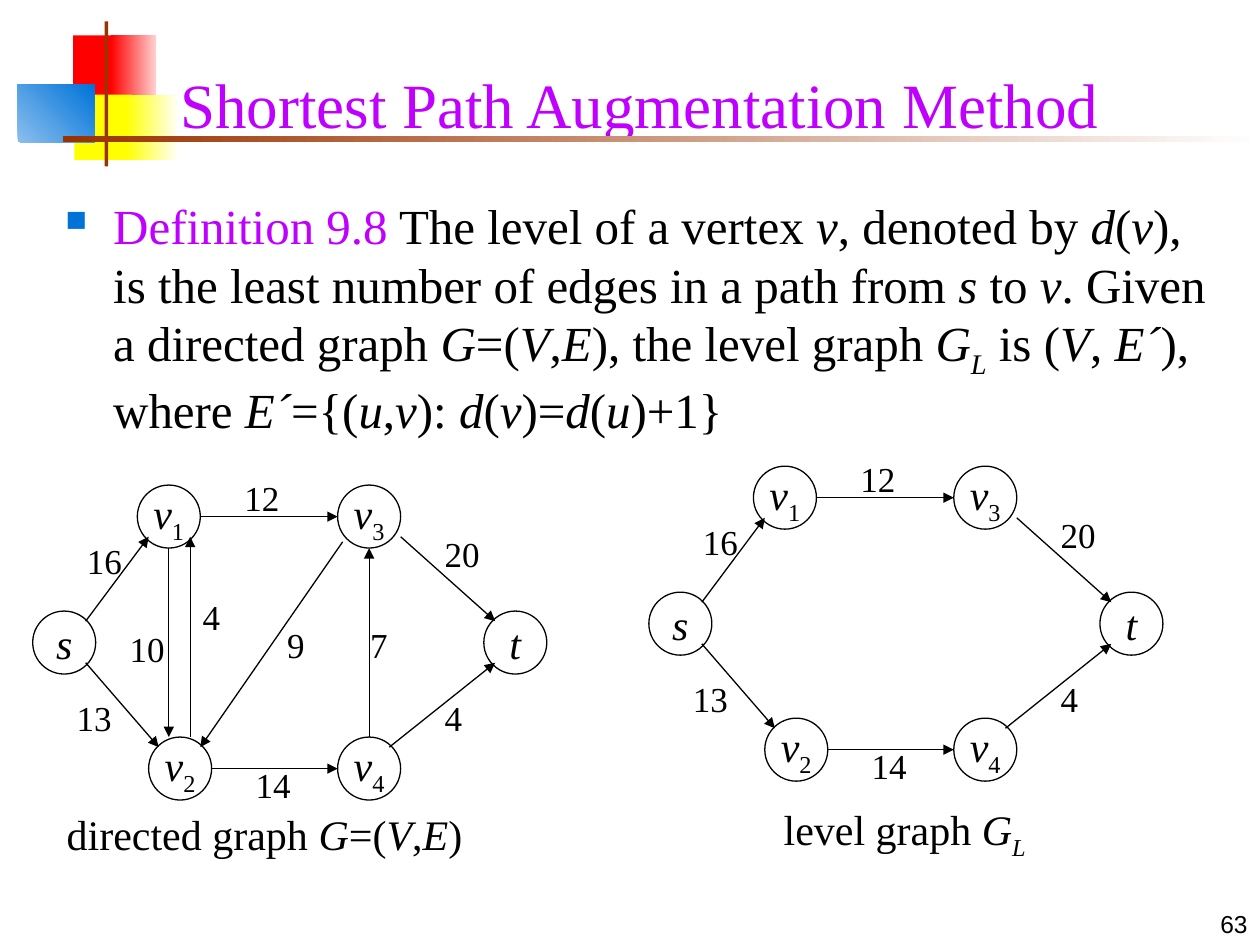
from lxml.etree import SubElement
from pptx import Presentation
from pptx.dml.color import RGBColor
from pptx.enum.shapes import MSO_CONNECTOR as LINK, MSO_SHAPE as SHAPE
from pptx.enum.text import MSO_ANCHOR as ANCHOR, MSO_AUTO_SIZE as AUTO, PP_ALIGN as ALIGN
from pptx.oxml.ns import qn
from pptx.util import Pt

PX = 9144
SERIF = "Times New Roman"
BLACK, PURPLE, BLUE = "000000", "BF00FF", "0073D9"
SHIFT = (489, -15)

BLOCKS = [
    ((58, 28, 35, 52), ["FF0000"], 0),
    ((88, 28, 36, 52), ["FF0000", "FFD1D1"], 0),
    ((59, 75, 46, 52), ["FFFF00"], 0),
    ((100, 75, 40, 52), ["FFFF00", "FFFFF0"], 0),
    ((14, 67, 61, 46), ["8BBFEE", BLUE], 45),
    ((83, 17, 3, 115), ["993300"], 0),
    ((50, 108, 950, 5), ["993300", "FFFFFF"], 0),
]
NODES = [("*s*", 26, 485), ("*v*_1_", 109, 385), ("*v*_2_", 118, 585),
         ("*v*_3_", 268, 385), ("*v*_4_", 268, 585), ("*t*", 384, 485)]
LEVEL = [
    ((68, 493, 118, 426), "16", (59, 423)),
    ((159, 410, 268, 410), "12", (184, 373)),
    ((318, 426, 393, 493), "20", (343, 418)),
    ((68, 526, 126, 593), "13", (51, 548)),
    ((168, 610, 268, 610), "14", (193, 601)),
    ((309, 593, 393, 526), "4", (343, 548)),
]
EXTRA = [
    ((293, 585, 293, 435), "7", (284, 490)),
    ((272, 430, 159, 593), "9", (218, 490)),
    ((134, 435, 134, 585), "10", (93, 493)),
    ((151, 585, 151, 426), "4", (151, 468)),
]
BODY = ("Definition 9.8** The level of a vertex *v*, denoted by *d*(*v*), is the least "
        "number of edges in a path from *s* to *v*. Given a directed graph *G*=(*V*,*E*), "
        "the level graph *G_L_* is (*V*, *E´*), where *E´*={(*u*,*v*): *d*(*v*)=*d*(*u*)+1}")


def emu(*vals):
    """Turn px into EMU."""
    return [v * PX for v in vals]


def rgb(code):
    """Return a colour from its hex string."""
    return RGBColor.from_string(code)


def write(para, text, size, color=BLACK, face=SERIF, align=ALIGN.LEFT):
    """Fill a paragraph, with *italic* and _subscript_ marks."""
    para.alignment = align
    font = para.font
    font.size, font.name, font.color.rgb = Pt(size), face, rgb(color)
    for i, part in enumerate(text.split("*")):
        for j, bit in enumerate(part.split("_")):
            if bit:
                run = para.add_run()
                run.text = bit
                if i % 2:
                    run.font.italic = True
                if j % 2:
                    run.font._element.set("baseline", "-25000")


def add_text(slide, box, text, size, wrap=False, anchor=ANCHOR.TOP, **style):
    """Add a text box and return its paragraph."""
    frame = slide.shapes.add_textbox(*emu(*box)).text_frame
    frame.word_wrap, frame.vertical_anchor = wrap, anchor
    para = frame.paragraphs[0]
    write(para, text, size, **style)
    return para


def add_block(slide, box, colors, angle):
    """Add a plain or graded rectangle."""
    block = slide.shapes.add_shape(SHAPE.RECTANGLE, *emu(*box))
    block.shadow.inherit = False
    block.line.fill.background()
    if len(colors) == 1:
        block.fill.solid()
        block.fill.fore_color.rgb = rgb(colors[0])
        return
    block.fill.gradient()
    block.fill.gradient_angle = angle
    for stop, color in zip(block.fill.gradient_stops, colors):
        stop.color.rgb = rgb(color)


def add_node(slide, text, x, y):
    """Add a round graph vertex."""
    node = slide.shapes.add_shape(SHAPE.OVAL, *emu(x, y, 50, 50))
    node.shadow.inherit = False
    node.fill.background()
    node.line.color.rgb, node.line.width = rgb(BLACK), Pt(0.75)
    frame = node.text_frame
    frame.word_wrap, frame.vertical_anchor = False, ANCHOR.MIDDLE
    write(frame.paragraphs[0], text, 24, align=ALIGN.CENTER)


def add_edge(slide, ends):
    """Add an arrow between two points."""
    edge = slide.shapes.add_connector(LINK.STRAIGHT, *emu(*ends))
    edge.line.color.rgb, edge.line.width = rgb(BLACK), Pt(0.75)
    SubElement(edge.line._get_or_add_ln(), qn("a:tailEnd"), type="triangle")
    SubElement(edge._element.spPr, qn("a:effectLst"))


def add_graph(slide, edges, dx=0, dy=0):
    """Add the vertices, edges and weights of a graph."""
    for text, x, y in NODES:
        add_node(slide, text, x + dx, y + dy)
    for (x1, y1, x2, y2), _, _ in edges:
        add_edge(slide, (x1 + dx, y1 + dy, x2 + dx, y2 + dy))
    for _, text, (x, y) in edges:
        add_text(slide, (x + dx, y + dy, 20 + 14 * len(text), 44), text, 20)


def add_title(slide, text):
    """Place and fill the title."""
    title = slide.shapes.title
    title.left, title.top, title.width, title.height = emu(133, 25, 852, 92)
    frame = title.text_frame
    frame.auto_size, frame.vertical_anchor = AUTO.NONE, ANCHOR.BOTTOM
    write(frame.paragraphs[0], text, 36, PURPLE)


def add_body(slide):
    """Add the bulleted definition."""
    para = add_text(slide, (42, 150, 938, 521), "", 28, wrap=True)
    props = para._p.get_or_add_pPr()
    props.set("marL", str(38 * PX))
    props.set("indent", str(-38 * PX))
    props.remove(props.find(qn("a:defRPr")))
    SubElement(SubElement(props, qn("a:buClr")), qn("a:srgbClr"), val=BLUE)
    SubElement(props, qn("a:buSzPct"), val="60000")
    SubElement(props, qn("a:buChar"), char="■")
    write(para, BODY, 28)
    para.runs[0].font.color.rgb = rgb(PURPLE)


def main():
    """Build the slide."""
    deck = Presentation()
    deck.slide_width, deck.slide_height = emu(1000, 750)
    slide = deck.slides.add_slide(deck.slide_layouts[5])
    for block in BLOCKS:
        add_block(slide, *block)
    add_title(slide, "Shortest Path Augmentation Method")
    add_body(slide)
    add_graph(slide, LEVEL + EXTRA)
    add_graph(slide, LEVEL, *SHIFT)
    add_text(slide, (43, 637, 334, 50), "directed graph *G*=(*V*,*E*)", 24, align=ALIGN.CENTER)
    add_text(slide, (612, 633, 212, 56), "level graph *G_L_*", 24, align=ALIGN.CENTER)
    add_text(slide, (792, 700, 208, 50), "63", 14, wrap=True, anchor=ANCHOR.BOTTOM,
             face="Arial", align=ALIGN.RIGHT)
    deck.save("out.pptx")


if __name__ == "__main__":
    main()
